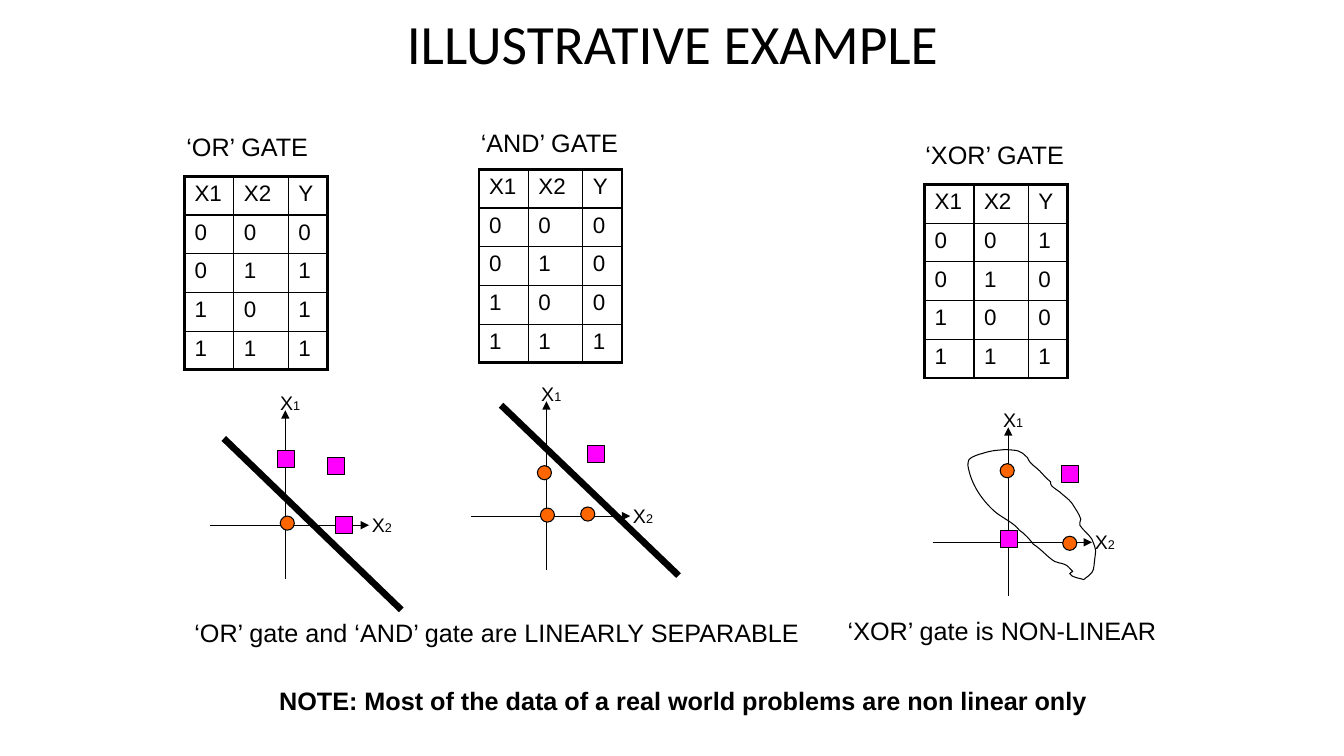
from lxml import etree
from pptx import Presentation
from pptx.dml.color import RGBColor
from pptx.enum.shapes import MSO_CONNECTOR, MSO_SHAPE
from pptx.enum.text import MSO_ANCHOR, MSO_AUTO_SIZE, PP_ALIGN
from pptx.oxml.ns import qn
from pptx.util import Inches, Pt

STRAIGHT = MSO_CONNECTOR.STRAIGHT
SQUARE, CIRCLE = MSO_SHAPE.RECTANGLE, MSO_SHAPE.OVAL
GROW = MSO_AUTO_SIZE.SHAPE_TO_FIT_TEXT
MIDDLE, CENTER = MSO_ANCHOR.MIDDLE, PP_ALIGN.CENTER
COLORS = {"ink": "000000", "square": "FF00FF", "circle": "FF6600"}
INK = RGBColor.from_string(COLORS["ink"])
MARKERS = {"square": (SQUARE, 0.17), "circle": (CIRCLE, 0.14)}
COLUMNS = [0.49, 0.54, 0.39]
ROW_COUNT, TABLE_HEIGHT = 5, 1.92
INPUTS = [("0", "0"), ("0", "1"), ("1", "0"), ("1", "1")]

GATES = [
    {"name": "‘OR’ GATE", "heading": (1.75, 1.25, 1.44), "table": (1.83, 1.75),
     "outputs": "0111", "origin": (2.83, 5.21),
     "divider": (2.22, 4.35, 3.98, 6.05),
     "markers": [("circle", 2.78, 5.12), ("square", 3.33, 5.12),
                 ("square", 2.75, 4.47), ("square", 3.25, 4.54)]},
    {"name": "‘AND’ GATE", "heading": (4.67, 1.21, 1.59), "table": (4.75, 1.68),
     "outputs": "0001", "origin": (5.42, 5.12),
     "divider": (4.97, 4.02, 6.73, 5.71),
     "markers": [("circle", 5.36, 5.04), ("circle", 5.33, 4.62),
                 ("circle", 5.76, 5.03), ("square", 5.83, 4.42)]},
    {"name": "‘XOR’ GATE", "heading": (9.08, 1.33, 1.6), "table": (9.17, 1.83),
     "outputs": "1001", "origin": (10, 5.38),
     "divider": None,
     "markers": [("circle", 9.92, 4.6), ("square", 10.53, 4.62),
                 ("square", 9.92, 5.26), ("circle", 10.54, 5.32)]},
]

BOUNDARY_START = (10.64, 5.67)
BOUNDARY_CURVES = [
    (10.61, 5.64, 10.59, 5.61, 10.56, 5.6), (10.52, 5.58, 10.49, 5.59, 10.46, 5.57),
    (10.38, 5.52, 10.33, 5.45, 10.25, 5.4), (10.22, 5.36, 10.16, 5.29, 10.11, 5.26),
    (10.05, 5.18, 9.94, 5.14, 9.86, 5.07), (9.73, 4.95, 9.63, 4.8, 9.6, 4.62),
    (9.6, 4.6, 9.6, 4.58, 9.61, 4.56), (9.63, 4.53, 9.73, 4.5, 9.74, 4.5),
    (9.83, 4.47, 9.86, 4.47, 9.97, 4.46), (10.1, 4.47, 10.11, 4.46, 10.19, 4.54),
    (10.22, 4.61, 10.26, 4.62, 10.31, 4.67), (10.35, 4.71, 10.37, 4.74, 10.42, 4.78),
    (10.42, 4.79, 10.42, 4.81, 10.43, 4.82), (10.45, 4.84, 10.51, 4.88, 10.51, 4.88),
    (10.55, 4.92, 10.59, 4.94, 10.63, 4.99), (10.66, 5.04, 10.7, 5.09, 10.72, 5.15),
    (10.72, 5.17, 10.7, 5.19, 10.71, 5.21), (10.74, 5.26, 10.8, 5.3, 10.83, 5.35),
    (10.88, 5.48, 10.87, 5.42, 10.85, 5.62), (10.85, 5.64, 10.84, 5.66, 10.83, 5.68),
    (10.81, 5.71, 10.78, 5.72, 10.75, 5.75), (10.73, 5.74, 10.62, 5.73, 10.61, 5.69),
    (10.61, 5.68, 10.63, 5.68, 10.64, 5.67),
]


def add_text(shapes, left, top, width, height, parts, bold=False):
    tf = shapes.add_textbox(Inches(left), Inches(top), Inches(width), Inches(height)).text_frame
    tf.word_wrap = False
    tf.auto_size = GROW
    for text, size in parts:
        r = tf.paragraphs[0].add_run()
        r.text = text
        r.font.name = "Arial"
        r.font.size = Pt(size)
        r.font.bold = bold
        r.font.color.rgb = INK


def add_line(shapes, x1, y1, x2, y2, width, arrow=False):
    line = shapes.add_connector(STRAIGHT, Inches(x1), Inches(y1), Inches(x2), Inches(y2))
    line.line.color.rgb = INK
    line.line.width = Pt(width)
    if arrow:
        etree.SubElement(line.line._get_or_add_ln(), qn("a:tailEnd"), type="triangle")
    etree.SubElement(line._element.spPr, qn("a:effectLst"))


prs = Presentation()
prs.slide_width, prs.slide_height = Inches(13.33), Inches(7.5)
s = prs.slides.add_slide(prs.slide_layouts[5])

title = s.shapes.title
title.left, title.top, title.width, title.height = Inches(2.17), Inches(0.08), Inches(9), Inches(0.67)
title.text_frame.text = "ILLUSTRATIVE EXAMPLE"
title.text_frame.vertical_anchor = MIDDLE
p = title.text_frame.paragraphs[0]
p.alignment = CENTER
p.runs[0].font.name = "Calibri"
p.runs[0].font.size = Pt(39.6)
p.runs[0].font.color.rgb = INK

for gate in GATES:
    left, top, width = gate["heading"]
    add_text(s.shapes, left, top, width, 0.4, [(gate["name"], 18)])

    left, top = gate["table"]
    frame = s.shapes.add_table(ROW_COUNT, len(COLUMNS), Inches(left), Inches(top),
                               Inches(sum(COLUMNS)), Inches(TABLE_HEIGHT))
    table = frame.table
    table.first_row = table.horz_banding = False
    for column, width in zip(table.columns, COLUMNS):
        column.width = Inches(width)
    rows = [("X1", "X2", "Y")] + [(*pair, y) for pair, y in zip(INPUTS, gate["outputs"])]
    for i, values in enumerate(rows):
        table.rows[i].height = Inches(TABLE_HEIGHT / ROW_COUNT)
        for j, value in enumerate(values):
            cell = table.cell(i, j)
            cell.text = value
            font = cell.text_frame.paragraphs[0].runs[0].font
            font.name = "Arial"
            font.size = Pt(16)
            font.color.rgb = INK
            cell.fill.background()
            outer_edges = [("L", j == 0), ("R", j == len(COLUMNS) - 1),
                           ("T", i == 0), ("B", i == ROW_COUNT - 1)]
            for k, (side, outer) in enumerate(outer_edges):
                border = etree.Element(qn(f"a:ln{side}"), w=str(Pt(2.25 if outer else 1)))
                fill = etree.SubElement(border, qn("a:solidFill"))
                etree.SubElement(fill, qn("a:srgbClr"), val=COLORS["ink"])
                cell._tc.get_or_add_tcPr().insert(k, border)

    plot = s.shapes.add_group_shape().shapes if gate["divider"] else s.shapes
    x, y = gate["origin"]
    add_line(plot, x, y + 0.53, x, y - 1.14, 0.75, arrow=True)
    add_line(plot, x - 0.75, y, x + 0.83, y, 0.75, arrow=True)
    if gate["divider"]:
        add_line(plot, *gate["divider"], 4.75)
    add_text(plot, x - 0.15, y - 1.38, 0.4, 0.33, [("X", 14), ("1", 9)])
    add_text(plot, x + 0.76, y - 0.17, 0.4, 0.33, [("X", 14), ("2", 9)])
    for kind, left, top in gate["markers"]:
        preset, size = MARKERS[kind]
        sp = plot.add_shape(preset, Inches(left), Inches(top), Inches(size), Inches(size))
        sp.shadow.inherit = False
        sp.fill.solid()
        sp.fill.fore_color.rgb = RGBColor.from_string(COLORS[kind])
        sp.line.color.rgb = INK
        sp.line.width = Pt(0.75)

builder = s.shapes.build_freeform(Inches(BOUNDARY_START[0]), Inches(BOUNDARY_START[1]))
builder.add_line_segments([(Inches(curve[k]), Inches(curve[k + 1]))
                           for curve in BOUNDARY_CURVES for k in (0, 2, 4)], close=True)
boundary = builder.convert_to_shape()
segments = list(boundary._element.iter(qn("a:lnTo")))
for k in range(0, len(segments), 3):
    curve = etree.Element(qn("a:cubicBezTo"))
    segments[k].addprevious(curve)
    for segment in segments[k:k + 3]:
        curve.append(segment[0])
        segment.getparent().remove(segment)
boundary.shadow.inherit = False
boundary.fill.background()
boundary.line.color.rgb = INK
boundary.line.width = Pt(0.75)

add_text(s.shapes, 1.83, 6.08, 6.26, 0.4, [("‘OR’ gate and ‘AND’ gate are LINEARLY SEPARABLE", 18)])
add_text(s.shapes, 8.31, 6.06, 3.27, 0.4, [("‘XOR’ gate is NON-LINEAR", 18)])
add_text(s.shapes, 2.67, 6.75, 8.22, 0.4,
         [("NOTE: Most of the data of a real world problems are non linear only", 18)], bold=True)

prs.save("out.pptx")
